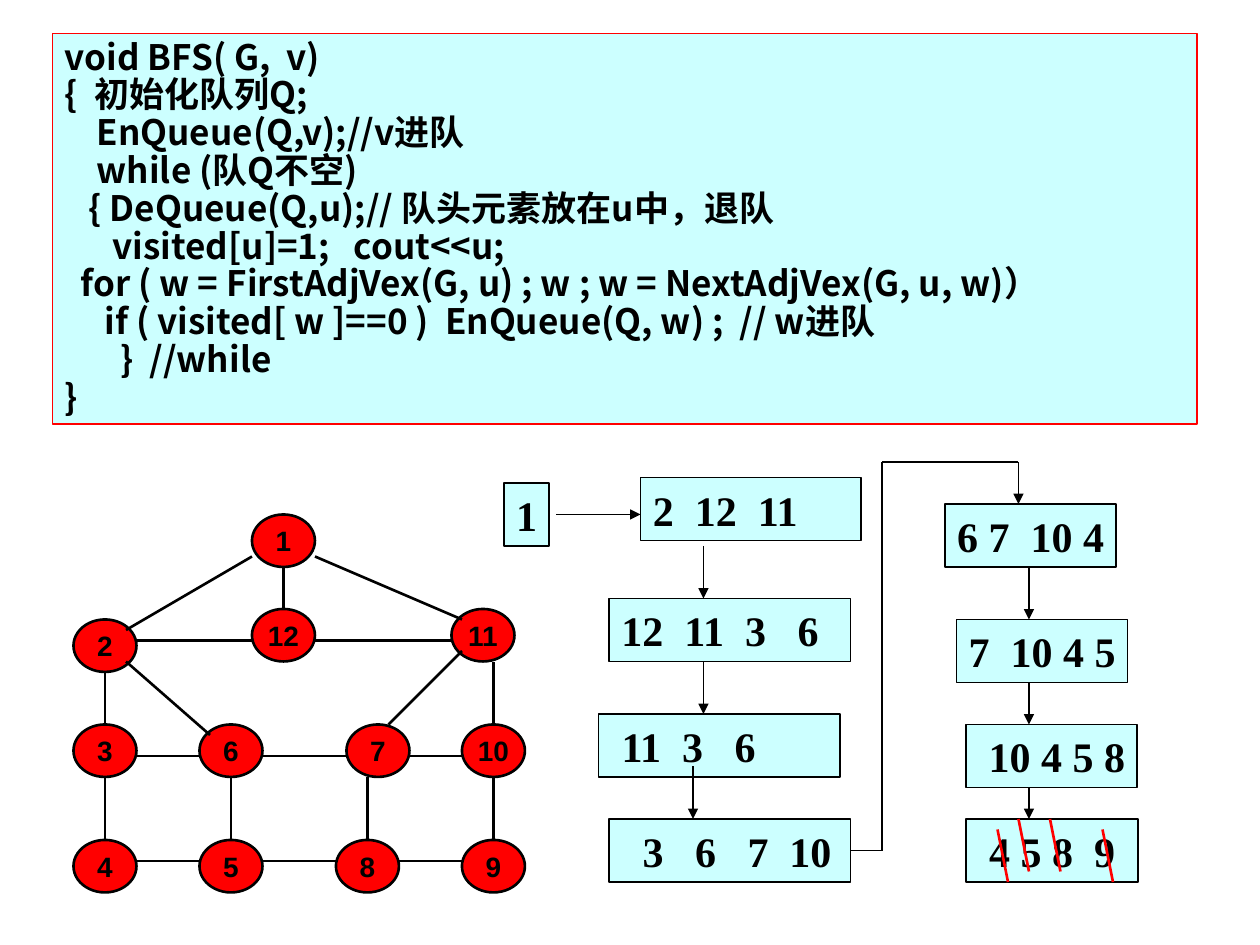
import itertools

import pptx
import pptx.dml.color
import pptx.enum.shapes
import pptx.enum.text
import pptx.oxml
import pptx.oxml.ns
import pptx.util

PX = 7620
RED, BLACK, CYAN = "FF0000", "000000", "CCFFFF"
SHAPES = pptx.enum.shapes.MSO_SHAPE
ALIGN = pptx.enum.text.PP_ALIGN
LATIN = "Times New Roman"

CODE = [
    "void BFS( G,  v)",
    "{  初始化队列Q;",
    "    EnQueue(Q,v);//v进队",
    "    while (队Q不空)",
    "   { DeQueue(Q,u);// 队头元素放在u中，退队",
    "      visited[u]=1;   cout<<u;",
    "  for ( w = FirstAdjVex(G, u) ; w ; w = NextAdjVex(G, u, w)）",
    "     if ( visited[ w ]==0 )  EnQueue(Q, w) ;  // w进队",
    "       }  //while",
    "}",
]
VERTICES = {
    "1": (240, 490), "2": (70, 590), "12": (240, 580), "11": (430, 580),
    "3": (70, 690), "6": (190, 690), "7": (330, 690), "10": (440, 690),
    "4": (70, 800), "5": (190, 800), "8": (320, 800), "9": (440, 800),
}
EDGES = [
    (270, 580, 270, 540), (300, 530, 440, 590), (240, 530, 120, 600),
    (130, 610, 240, 610), (300, 610, 430, 610), (440, 620, 370, 690),
    (120, 630, 200, 700), (100, 690, 100, 640), (470, 690, 470, 630),
    (190, 720, 130, 720), (330, 720, 250, 720), (440, 720, 390, 720),
    (100, 800, 100, 740), (220, 800, 220, 740), (350, 800, 350, 740),
    (470, 800, 470, 740), (190, 820, 130, 820), (320, 820, 250, 820),
    (440, 820, 380, 820),
]
QUEUES = [
    ("1", 480, 460, 43, 0, ALIGN.CENTER),
    ("2  12  11", 610, 455, 210, 12, ALIGN.LEFT),
    ("12  11  3   6", 580, 570, 230, 12, ALIGN.LEFT),
    ("11  3   6", 570, 680, 230, 22, ALIGN.LEFT),
    ("3   6   7  10", 580, 780, 230, 32, ALIGN.LEFT),
    ("6 7  10 4", 900, 480, 163, 0, ALIGN.CENTER),
    ("7  10 4 5", 911, 590, 163, 0, ALIGN.CENTER),
    ("10 4 5 8", 920, 690, 163, 10, ALIGN.CENTER),
    ("4 5 8  9", 920, 780, 164, 0, ALIGN.CENTER),
]
ARROWS = [
    [(670, 520), (670, 570)], [(670, 630), (670, 680)],
    [(660, 730), (660, 780)], [(980, 540), (980, 590)],
    [(980, 650), (980, 690)], [(980, 750), (980, 780)],
    [(810, 810), (840, 810), (840, 440), (970, 440), (970, 480)],
]
STRIKES = [(950, 790), (970, 780), (1000, 780), (1050, 790)]


def colour(value):
    """Turn a hex string into a colour."""
    return pptx.dml.color.RGBColor.from_string(value)


def assign(target, values):
    """Set every attribute named in a dict of format values."""
    for name, value in values.items():
        setattr(target, name, value)


class Sketch:
    """Hold the style and the current slide."""

    def __init__(self, page):
        """Keep the slide that is drawn on."""
        self.page = page

    def outline(self, line, tint, width):
        """Colour and size a line."""
        line.color.rgb = colour(tint)
        line.width = pptx.util.Pt(width)

    def shape(self, kind, area, lines, fill, font, size, border=BLACK, width=0.75,
              insets=(12, 12), align=ALIGN.CENTER, wrap=True, grow=True, spacing=None):
        """Draw a filled shape with bold text."""
        box = self.page.shapes.add_shape(kind, *(value * PX for value in area))
        box.shadow.inherit = False
        box.fill.solid()
        box.fill.fore_color.rgb = colour(fill)
        self.outline(box.line, border, width)
        fit = pptx.enum.text.MSO_AUTO_SIZE
        assign(box.text_frame, {
            "word_wrap": wrap,
            "auto_size": fit.SHAPE_TO_FIT_TEXT if grow else fit.NONE,
            "vertical_anchor": pptx.enum.text.MSO_ANCHOR.MIDDLE,
            "margin_left": insets[0] * PX, "margin_right": insets[1] * PX,
            "margin_top": 6 * PX, "margin_bottom": 6 * PX,
        })
        for index, text in enumerate(lines):
            frame = box.text_frame
            para = frame.add_paragraph() if index else frame.paragraphs[0]
            assign(para, {"alignment": align, "line_spacing": spacing})
            span = para.add_run()
            span.text = text
            assign(span.font, {"name": font, "size": pptx.util.Pt(size), "bold": True})
            span.font.color.rgb = colour(BLACK)
            asian = pptx.oxml.parse_xml(
                f'<a:ea {pptx.oxml.ns.nsdecls("a")} typeface="{font}"/>')
            span.font._element.append(asian)

    def code(self, area, lines):
        """Draw the listing panel."""
        self.shape(SHAPES.RECTANGLE, area, lines, CYAN, "Noto Sans CJK SC", 20,
                   border=RED, align=ALIGN.LEFT, spacing=0.9)

    def vertex(self, label, left, top):
        """Draw one vertex of the graph."""
        self.shape(SHAPES.OVAL, (left, top, 60, 50), [label], RED, "Arial", 16,
                   width=1.5, wrap=False, grow=False)

    def queue(self, text, left, top, width, inset, align):
        """Draw one state of the queue."""
        self.shape(SHAPES.RECTANGLE, (left, top, width, 60), [text], CYAN, LATIN, 24,
                   insets=(inset, 0), align=align)

    def line(self, ends, tint=BLACK, width=1.5, arrow=False):
        """Draw a straight line, with an arrowhead if asked."""
        link = self.page.shapes.add_connector(
            pptx.enum.shapes.MSO_CONNECTOR.STRAIGHT, *(value * PX for value in ends))
        self.outline(link.line, tint, width)
        space = pptx.oxml.ns.nsdecls("a")
        if arrow:
            link.line._get_or_add_ln().append(
                pptx.oxml.parse_xml(f'<a:tailEnd {space} type="triangle"/>'))
        link._element.spPr.append(pptx.oxml.parse_xml(f"<a:effectLst {space}/>"))

    def route(self, points, width=0.75):
        """Draw joined lines that end in an arrowhead."""
        for start, end in itertools.pairwise(points):
            self.line(start + end, width=width, arrow=end == points[-1])


def main():
    """Build the breadth-first search slide."""
    deck = pptx.Presentation()
    assign(deck, {"slide_width": 1200 * PX, "slide_height": 900 * PX})
    sketch = Sketch(deck.slides.add_slide(deck.slide_layouts[6]))
    sketch.code((50, 32, 1090, 372), CODE)
    for label, place in VERTICES.items():
        sketch.vertex(label, *place)
    for edge in EDGES:
        sketch.line(edge)
    for state in QUEUES:
        sketch.queue(*state)
    sketch.route([(530, 490), (610, 490)], width=1)
    for points in ARROWS:
        sketch.route(points)
    for left, top in STRIKES:
        sketch.line((left, top, left + 10, top + 50), tint=RED)
    deck.save("out.pptx")


if __name__ == "__main__":
    main()
